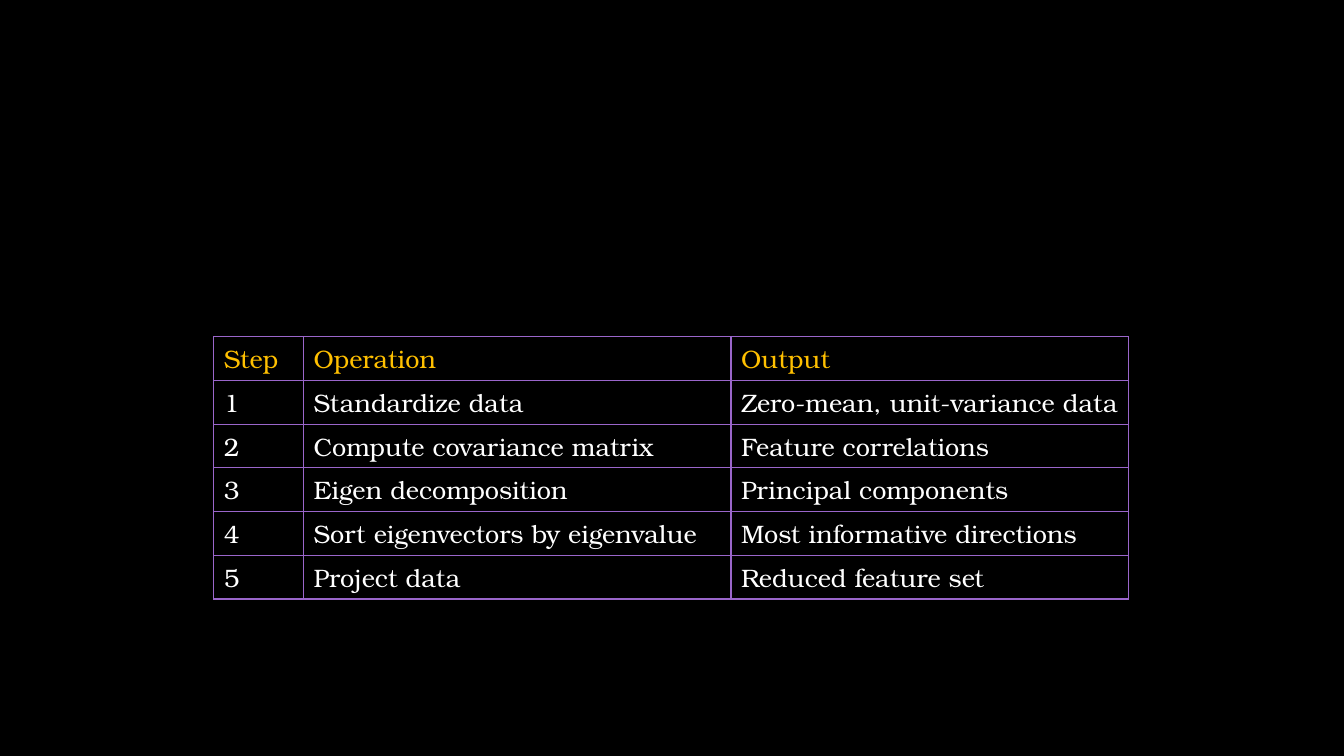
from dataclasses import dataclass
from typing import Any

from lxml.etree import SubElement
from pptx import Presentation
from pptx.dml.color import RGBColor
from pptx.enum.text import MSO_ANCHOR
from pptx.oxml.ns import qn
from pptx.slide import Slide
from pptx.table import _Cell
from pptx.util import Inches, Pt


@dataclass(frozen=True)
class Theme:
    background: str = "000000"
    heading: str = "FFC000"
    body: str = "FFFFFF"
    border: str = "9A66CA"
    border_width: int = 1
    font: str = "TeX Gyre Bonum"
    size: int = 18


@dataclass(frozen=True)
class Step:
    number: str
    operation: str
    output: str


THEME = Theme()
COLUMN_WIDTHS = (0.89, 4.24, 3.94)
ROW_HEIGHT = 0.4
STEPS = (
    Step("Step", "Operation", "Output"),
    Step("1", "Standardize data", "Zero-mean, unit-variance data"),
    Step("2", "Compute covariance matrix", "Feature correlations"),
    Step("3", "Eigen decomposition", "Principal components"),
    Step("4", "Sort eigenvectors by eigenvalue", "Most informative directions"),
    Step("5", "Project data", "Reduced feature set"),
)


def apply_format(target: Any, values: dict[str, Any]) -> None:
    """Set each named attribute on the target."""
    for name, value in values.items():
        setattr(target, name, value)


def add_borders(cell: _Cell) -> None:
    """Draw a line on all four sides of a cell."""
    properties = cell._tc.get_or_add_tcPr()
    for position, side in enumerate(("lnL", "lnR", "lnT", "lnB")):
        line = SubElement(properties, qn(f"a:{side}"), w=str(Pt(THEME.border_width)))
        fill = SubElement(line, qn("a:solidFill"))
        SubElement(fill, qn("a:srgbClr"), val=THEME.border)
        properties.insert(position, line)


def fill_cell(cell: _Cell, text: str, color: str) -> None:
    """Write and style one table cell."""
    apply_format(cell, {"vertical_anchor": MSO_ANCHOR.MIDDLE, "margin_right": Inches(0.05)})
    cell.fill.solid()
    cell.fill.fore_color.rgb = RGBColor.from_string(THEME.background)
    add_borders(cell)
    span = cell.text_frame.paragraphs[0].add_run()
    span.text = text
    apply_format(span.font, {"name": THEME.font, "size": Pt(THEME.size), "bold": False})
    span.font.color.rgb = RGBColor.from_string(color)


def add_steps_table(page: Slide) -> None:
    """Add the table of steps with its heading row."""
    table = page.shapes.add_table(
        len(STEPS), len(COLUMN_WIDTHS), Inches(2.12), Inches(3.34),
        Inches(sum(COLUMN_WIDTHS)), Inches(ROW_HEIGHT * len(STEPS)),
    ).table
    apply_format(table, {"first_row": False, "horz_banding": False})
    for column, width in zip(table.columns, COLUMN_WIDTHS):
        column.width = Inches(width)
    for index, (row, step) in enumerate(zip(table.rows, STEPS)):
        color = THEME.body if index else THEME.heading
        for cell, text in zip(row.cells, (step.number, step.operation, step.output)):
            fill_cell(cell, text, color)


def main() -> None:
    """Build and save the deck."""
    deck = Presentation()
    apply_format(deck, {"slide_width": Inches(13.33), "slide_height": Inches(7.5)})
    page = deck.slides.add_slide(deck.slide_layouts[6])
    page.background.fill.solid()
    page.background.fill.fore_color.rgb = RGBColor.from_string(THEME.background)
    add_steps_table(page)
    deck.save("out.pptx")


if __name__ == "__main__":
    main()
